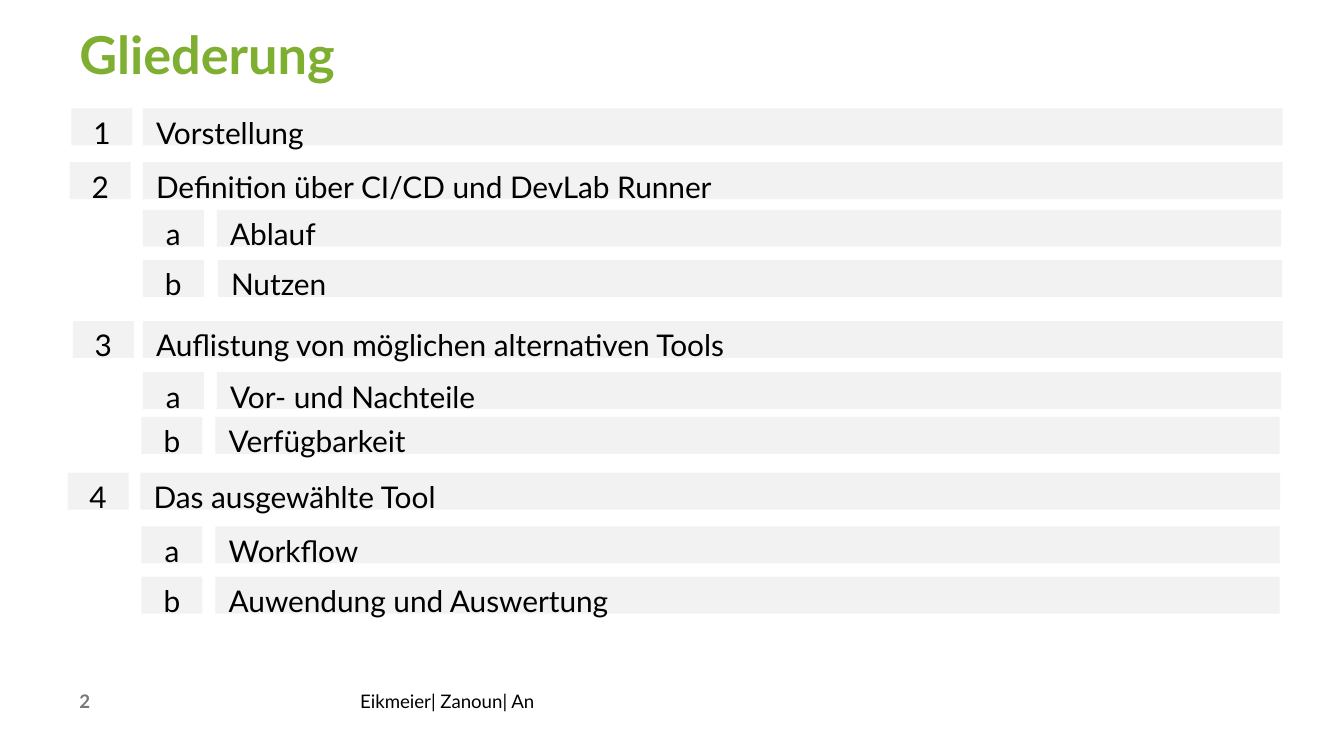
import pptx
import pptx.dml.color
import pptx.enum.shapes
import pptx.enum.text
import pptx.util

Pt = pptx.util.Pt
ALIGN = pptx.enum.text.PP_ALIGN
ANCHOR = pptx.enum.text.MSO_ANCHOR

COLORS = {"title": "7FAF30", "bar": "F2F2F2", "text": "000000", "number": "787878"}

BAR_HEIGHT = 19.8
LABEL_WIDTH = 32.7
CHAPTER_WIDTH = 610.6
SECTION_WIDTH = 570.2

# label, text, label left, bar left, top, bar width
OUTLINE = [
    ("1", "Vorstellung", 38.3, 76.5, 58.1, CHAPTER_WIDTH),
    ("2", "Definition über CI/CD und DevLab Runner", 37.4, 76.5, 86.9, CHAPTER_WIDTH),
    ("a", "Ablauf", 76.5, 116.2, 112.4, SECTION_WIDTH),
    ("b", "Nutzen", 76.5, 116.7, 139.2, SECTION_WIDTH),
    ("3", "Auflistung von möglichen alternativen Tools", 39, 76.5, 172, CHAPTER_WIDTH),
    ("a", "Vor- und Nachteile", 76.5, 116.2, 199.4, SECTION_WIDTH),
    ("b", "Verfügbarkeit", 75.8, 115.4, 223.4, SECTION_WIDTH),
    ("4", "Das ausgewählte Tool", 36.2, 75.2, 253.2, CHAPTER_WIDTH),
    ("a", "Workflow", 75.8, 115.4, 282, SECTION_WIDTH),
    ("b", "Auwendung und Auswertung", 75.8, 115.4, 308.9, SECTION_WIDTH),
]


class Deck:
    """Holds the style and the current slide."""

    font = "Lato"

    def __init__(self, slide):
        self.slide = slide

    def color(self, name):
        return pptx.dml.color.RGBColor.from_string(COLORS[name])

    def add_text(self, tf, text, size, color, bold=False):
        tf.word_wrap = True
        p = tf.paragraphs[0]
        p.alignment = ALIGN.LEFT
        r = p.add_run()
        r.text = text
        r.font.name = self.font
        r.font.size = Pt(size)
        r.font.bold = bold
        r.font.color.rgb = self.color(color)
        return p

    def text_box(self, box, text, size, color, bold=False):
        tf = self.slide.shapes.add_textbox(*map(Pt, box)).text_frame
        tf.margin_left = tf.margin_top = tf.margin_right = tf.margin_bottom = 0
        return self.add_text(tf, text, size, color, bold)

    def bar(self, left, top, width, text, align=ALIGN.LEFT):
        sp = self.slide.shapes.add_shape(
            pptx.enum.shapes.MSO_SHAPE.RECTANGLE,
            Pt(left), Pt(top), Pt(width), Pt(BAR_HEIGHT))
        sp.shadow.inherit = False
        sp.fill.solid()
        sp.fill.fore_color.rgb = self.color("bar")
        sp.line.fill.background()
        sp.text_frame.vertical_anchor = ANCHOR.MIDDLE
        p = self.add_text(sp.text_frame, text, 16, "text")
        p.alignment = align
        p.line_spacing = Pt(25)
        p.space_after = Pt(5.5)


def main():
    prs = pptx.Presentation()
    prs.slide_width, prs.slide_height = Pt(720), Pt(405)
    deck = Deck(prs.slides.add_slide(prs.slide_layouts[6]))

    # Title
    title = deck.text_box((42.5, 11.5, 592.6, 34.6), "Gliederung", 28, "title", bold=True)
    title.line_spacing = Pt(34)

    # Outline rows
    for label, text, label_left, bar_left, top, width in OUTLINE:
        deck.bar(label_left, top, LABEL_WIDTH, label, ALIGN.CENTER)
        deck.bar(bar_left, top, width, text)

    # Footer
    deck.text_box((42.5, 369.4, 136, 14.4), "2", 10, "number", bold=True)
    deck.text_box((193, 369.4, 432, 14.4), "Eikmeier| Zanoun| An", 10, "text")

    prs.save("out.pptx")


if __name__ == "__main__":
    main()
